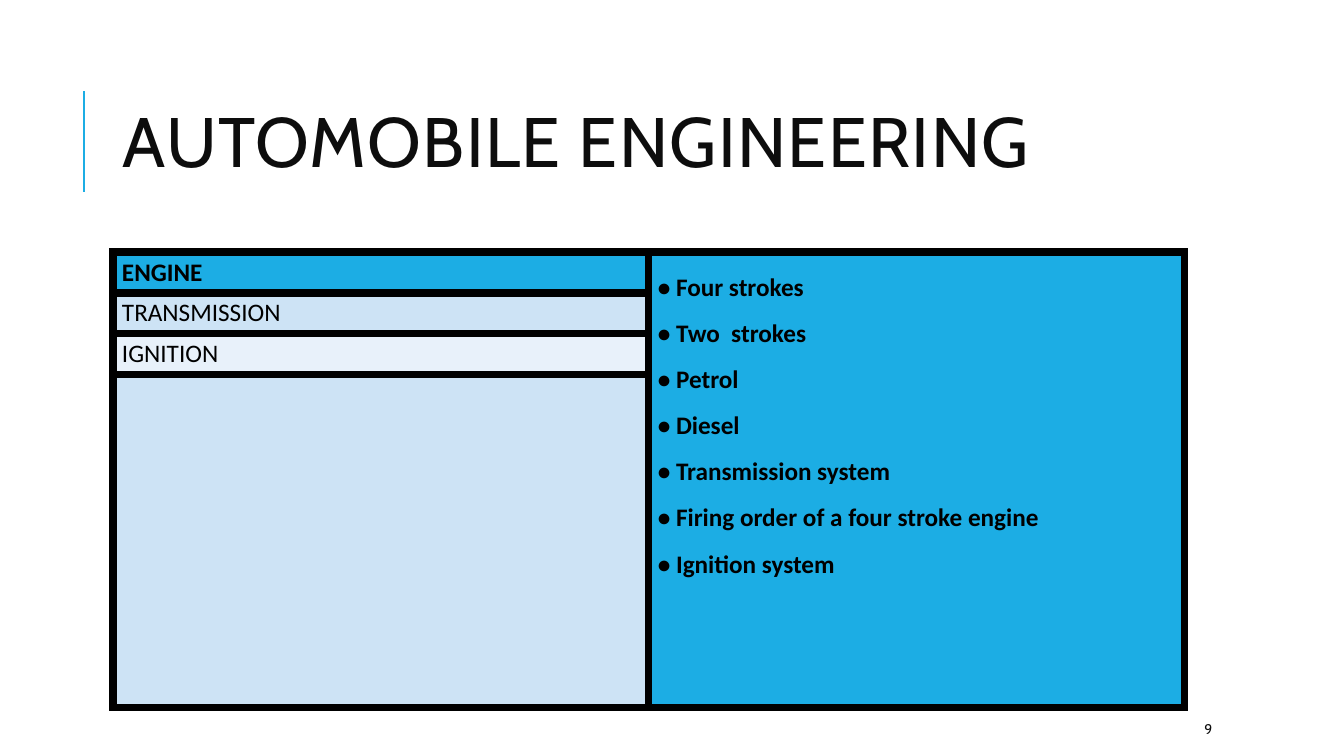
from dataclasses import dataclass

from lxml.etree import SubElement
from pptx import Presentation
from pptx.dml.color import RGBColor
from pptx.enum.shapes import MSO_CONNECTOR
from pptx.enum.text import MSO_ANCHOR
from pptx.oxml.ns import qn
from pptx.util import Pt

BLUE, PALE, MIST = "1CADE4", "CDE3F5", "E8F1FA"
BLACK, INK = "000000", "0D0D0D"
EDGE = 6


@dataclass
class Label:
    text: str
    left: float
    top: float
    width: float
    height: float
    size: float
    lead: float = 1.0
    track: int = 0


@dataclass
class Topic:
    text: str
    fill: str
    height: float
    bold: bool = False


LABELS = [
    Label("AUTOMOBILE ENGINEERING", 80.64, 46, 765.5, 118, 50, 0.8, 100),
    Label("9", 853.2, 509.8, 76.3, 21.6, 10),
]
TOPICS = [
    Topic("ENGINE", BLUE, 29.2, True),
    Topic("TRANSMISSION", PALE, 29.2),
    Topic("IGNITION", MIST, 29.2),
    Topic("", PALE, 120),
]
POINTS = [
    "Four strokes",
    "Two  strokes",
    "Petrol",
    "Diesel",
    "Transmission system",
    "Firing order of a four stroke engine",
    "Ignition system",
]


def paint(target, color: str) -> None:
    """Give a fill, line or font format a solid colour."""
    if hasattr(target, "solid"):
        target.solid()
        target = target.fore_color
    else:
        target = target.color
    target.rgb = RGBColor.from_string(color)


def apply(target, style: dict) -> None:
    for name, value in style.items():
        setattr(target, name, value)


def write(frame, lines: list[str], style: dict, color: str, lead: float = 1.0, track: int = 0) -> None:
    """Fill a text frame, one paragraph per line."""
    for index, line in enumerate(lines):
        para = frame.add_paragraph() if index else frame.paragraphs[0]
        para.line_spacing = lead
        run = para.add_run()
        run.text = line
        apply(run.font, style)
        paint(run.font, color)
        if track:
            run.font._element.set("spc", str(track))


def add_label(slide, label: Label) -> None:
    box = slide.shapes.add_textbox(Pt(label.left), Pt(label.top), Pt(label.width), Pt(label.height))
    frame = box.text_frame
    apply(frame, {"word_wrap": True, "vertical_anchor": MSO_ANCHOR.MIDDLE})
    style = {"name": "Cabin", "size": Pt(label.size)}
    write(frame, [label.text], style, INK, label.lead, label.track)


def add_rule(slide) -> None:
    """Draw the accent line beside the title."""
    rule = slide.shapes.add_connector(MSO_CONNECTOR.STRAIGHT, Pt(60), Pt(136.8), Pt(60), Pt(64.8))
    rule.line.width = Pt(1.5)
    paint(rule.line, BLUE)
    SubElement(rule._element.spPr, qn("a:effectLst"))


def frame_cell(cell, fill: str) -> None:
    """Set margins, borders and fill of a cell."""
    apply(cell, {
        "margin_left": Pt(6.5), "margin_right": Pt(6.5),
        "margin_top": Pt(3.6), "margin_bottom": Pt(3.6),
    })
    props = cell._tc.get_or_add_tcPr()
    for side in ("lnL", "lnR", "lnT", "lnB"):
        edge = SubElement(props, qn(f"a:{side}"), w=str(Pt(EDGE)))
        solid = SubElement(edge, qn("a:solidFill"))
        SubElement(solid, qn("a:srgbClr"), val=BLACK)
    paint(cell.fill, fill)


def add_topics(slide) -> None:
    height = sum(topic.height for topic in TOPICS)
    shape = slide.shapes.add_table(len(TOPICS), 2, Pt(80.64), Pt(180), Pt(765.5), Pt(height))
    table = shape.table
    apply(table, {"first_row": False, "horz_banding": False})
    style = {"name": "Calibri", "size": Pt(18)}
    for index, topic in enumerate(TOPICS):
        table.rows[index].height = Pt(topic.height)
        left, right = table.cell(index, 0), table.cell(index, 1)
        frame_cell(left, topic.fill)
        frame_cell(right, BLUE)
        if topic.text:
            write(left.text_frame, [topic.text], style | {"bold": topic.bold}, BLACK)
    side = table.cell(0, 1)
    side.merge(table.cell(len(TOPICS) - 1, 1))
    lines = [f"• {point}" for point in POINTS]
    write(side.text_frame, lines, style | {"bold": True}, BLACK, 1.5)


def main() -> None:
    deck = Presentation()
    apply(deck, {"slide_width": Pt(960), "slide_height": Pt(540)})
    slide = deck.slides.add_slide(deck.slide_layouts[6])
    add_rule(slide)
    add_topics(slide)
    for label in LABELS:
        add_label(slide, label)
    deck.save("out.pptx")


if __name__ == "__main__":
    main()
